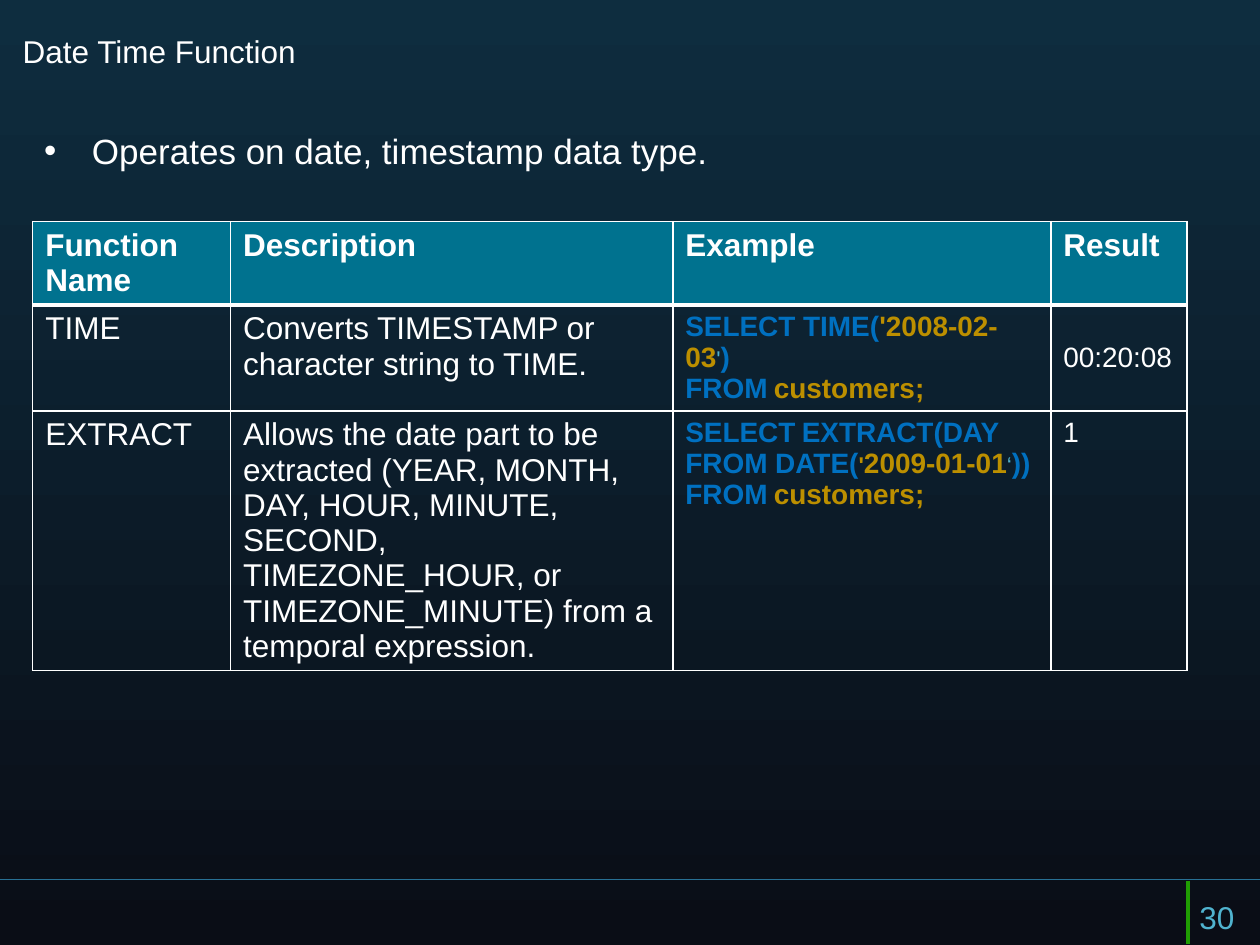
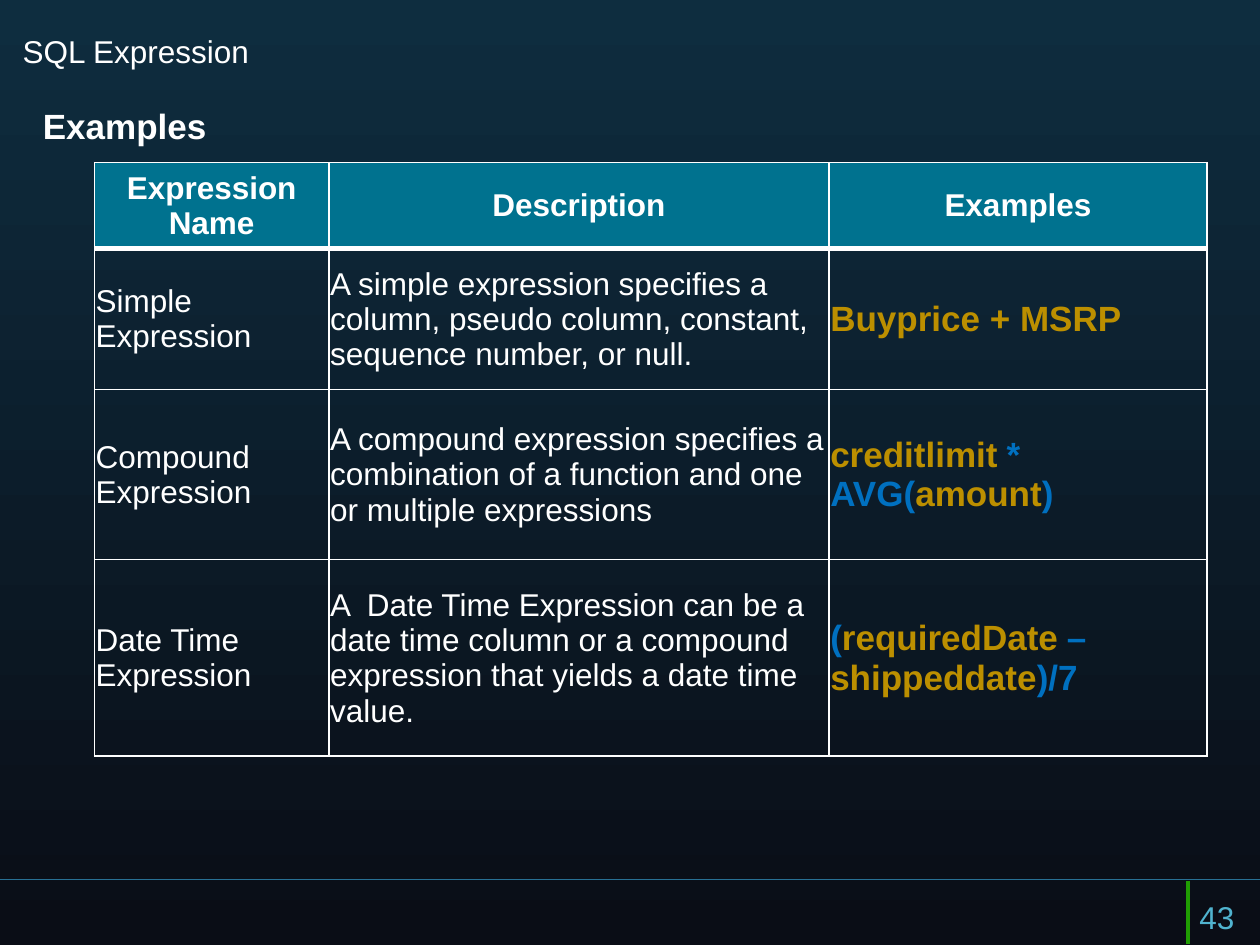
from dataclasses import dataclass

from lxml import etree
from pptx import Presentation
from pptx.dml.color import RGBColor
from pptx.enum.shapes import MSO_CONNECTOR
from pptx.enum.text import MSO_ANCHOR, MSO_AUTO_SIZE, PP_ALIGN
from pptx.oxml.ns import qn
from pptx.util import Inches, Pt

TOP, MIDDLE = MSO_ANCHOR.TOP, MSO_ANCHOR.MIDDLE
LEFT, CENTER = PP_ALIGN.LEFT, PP_ALIGN.CENTER
STRAIGHT = MSO_CONNECTOR.STRAIGHT
NO_AUTOFIT = MSO_AUTO_SIZE.NONE

# The slide is a grid of 100 columns by 75 rows
UNIT = Inches(0.1)
COLUMNS, ROWS = 100, 75
TITLE_AREA = (0.8, 2, 75, 5.8)
FOOTER_ROW, FOOTER_COLUMN = 69.8, 94.3
NUMBER_AREA = (94.2, 70.8, 5.8, 4.2)


@dataclass(frozen=True)
class Theme:
    font: str = "Arial"
    sky: str = "0E2D3F"
    night: str = "0A0D16"
    white: str = "FFFFFF"
    header: str = "00728F"
    accent: str = "50B3CF"
    keyword: str = "0070C0"
    value: str = "BC8F00"
    rule: str = "287094"
    tick: str = "209D03"
    lead: int = 20
    text: int = 18
    code: int = 16
    small: int = 13
    border: int = 1
    heavy_border: int = 3


THEME = Theme()

# Text styles: size, colour, bold
STYLES = {
    "text": (THEME.text, THEME.white, False),
    "head": (THEME.text, THEME.white, True),
    "lead": (THEME.lead, THEME.white, False),
    "lead_bold": (THEME.lead, THEME.white, True),
    "number": (THEME.text, THEME.accent, False),
    "result": (THEME.code, THEME.white, False),
    "key": (THEME.code, THEME.keyword, True),
    "val": (THEME.code, THEME.value, True),
    "quote": (THEME.small, THEME.value, True),
    "gap": (THEME.small, THEME.accent, False),
    "big_key": (THEME.lead, THEME.keyword, True),
    "big_val": (THEME.lead, THEME.value, True),
}

# Cells are (style, text), or a list of paragraphs made of such spans
DATE_ROWS = [
    [("head", name) for name in ("Function Name", "Description", "Example", "Result")],
    [
        ("text", "TIME"),
        ("text", "Converts TIMESTAMP or character string to TIME."),
        [
            [("key", "SELECT TIME("), ("val", "'2008-02-03"), ("gap", "'"),
             ("key", ")"), ("gap", " ")],
            [("key", "FROM"), ("gap", " "), ("val", "customers;")],
        ],
        ("result", "00:20:08"),
    ],
    [
        ("text", "EXTRACT"),
        ("text", "Allows the date part to be extracted (YEAR, MONTH, DAY, HOUR, MINUTE, "
                 "SECOND, TIMEZONE_HOUR, or TIMEZONE_MINUTE) from a temporal expression."),
        [[("key", "SELECT"), ("gap", " "), ("key", "EXTRACT(DAY FROM DATE("),
          ("quote", "'"), ("val", "2009-01-01"), ("gap", "‘"),
          ("key", ")) FROM"), ("gap", " "), ("val", "customers;")]],
        ("result", "1"),
    ],
]
EXPRESSION_ROWS = [
    [("head", name) for name in ("Expression Name", "Description", "Examples")],
    [
        ("text", "Simple Expression"),
        ("text", "A simple expression specifies a column, pseudo column, constant, "
                 "sequence number, or null."),
        ("big_val", "Buyprice + MSRP"),
    ],
    [
        ("text", "Compound Expression"),
        ("text", "A compound expression specifies a combination of a function and one "
                 "or multiple expressions"),
        [[("big_val", "creditlimit"), ("text", " "), ("big_key", "*"), ("text", " "),
          ("big_key", "AVG("), ("big_val", "amount"), ("big_key", ")")]],
    ],
    [
        ("text", "Date Time Expression"),
        ("text", "A  Date Time Expression can be a date time column or a compound "
                 "expression that yields a date time value."),
        [[("big_key", "("), ("big_val", "requiredDate"), ("text", " "), ("big_key", "–"),
          ("big_val", "shippeddate"), ("big_key", ")/7")]],
    ],
]


def grid(*steps):
    return [round(step * UNIT) for step in steps]


def colour(code):
    return RGBColor.from_string(code)


def set_values(target, values):
    for name, value in values.items():
        setattr(target, name, value)


def write(frame, content, align=LEFT):
    """Fill a text frame with one styled text or with paragraphs of spans."""
    paragraphs = [[content]] if isinstance(content, tuple) else content
    for index, spans in enumerate(paragraphs):
        para = frame.add_paragraph() if index else frame.paragraphs[0]
        para.alignment = align
        for style, text in spans:
            size, shade, bold = STYLES[style]
            span = para.add_run()
            span.text = text
            set_values(span.font, {"name": THEME.font, "size": Pt(size), "bold": bold})
            span.font.color.rgb = colour(shade)


def fill_box(box, area, content):
    """Place a placeholder or text box and write its text."""
    set_values(box, dict(zip(("left", "top", "width", "height"), grid(*area))))
    set_values(box.text_frame, {"word_wrap": True, "auto_size": NO_AUTOFIT,
                                "vertical_anchor": TOP})
    write(box.text_frame, content)


def set_bullet(para, indent, mark=None):
    """Give a paragraph a hanging bullet, or take its bullet away."""
    properties = para._p.get_or_add_pPr()
    properties.set("marL", str(Inches(indent)))
    properties.set("indent", str(-Inches(indent)))
    if mark:
        etree.SubElement(properties, qn("a:buChar"), char=mark)
    else:
        etree.SubElement(properties, qn("a:buNone"))


def add_line(page, ends, shade, width):
    line = page.shapes.add_connector(STRAIGHT, *grid(*ends))
    line.line.color.rgb = colour(shade)
    line.line.width = Pt(width)
    etree.SubElement(line._element.spPr, qn("a:effectLst"))


def set_borders(cell, widths):
    """Draw the four sides; the lines come before the fill in the cell."""
    properties = cell._tc.get_or_add_tcPr()
    for index, (side, width) in enumerate(widths.items()):
        line = etree.Element(qn(f"a:ln{side}"), w=str(Pt(width)))
        fill = etree.SubElement(line, qn("a:solidFill"))
        etree.SubElement(fill, qn("a:srgbClr"), val=THEME.white)
        properties.insert(index, line)


def add_table(page, corner, widths, heights, rows, format_cell):
    area = grid(*corner, sum(widths), sum(heights))
    table = page.shapes.add_table(len(rows), len(widths), *area).table
    table.horz_banding = False
    for column, width in zip(table.columns, grid(*widths)):
        column.width = width
    for row, height in zip(table.rows, grid(*heights)):
        row.height = height
    for y, contents in enumerate(rows):
        for x, content in enumerate(contents):
            cell = table.cell(y, x)
            values, align = format_cell(y, x)
            set_values(cell, values)
            write(cell.text_frame, content, align)
            if y == 0:
                cell.fill.solid()
                cell.fill.fore_color.rgb = colour(THEME.header)
            else:
                cell.fill.background()
            set_borders(cell, {
                "L": THEME.border,
                "R": THEME.border,
                "T": THEME.heavy_border if y == 1 else THEME.border,
                "B": THEME.heavy_border if y == 0 else THEME.border,
            })


def date_cell(y, x):
    return {"vertical_anchor": MIDDLE if (y, x) == (1, 3) else TOP}, LEFT


def expression_cell(y, x):
    inset = Inches(0.01)
    values = {"vertical_anchor": MIDDLE, "margin_left": inset, "margin_right": inset,
              "margin_top": inset, "margin_bottom": 0}
    return values, LEFT if y else CENTER


def paint_background(deck):
    fill = deck.slide_master.background.fill
    fill.gradient()
    fill.gradient_angle = 270
    for stop, shade in zip(fill.gradient_stops, (THEME.sky, THEME.night)):
        stop.color.rgb = colour(shade)


def add_page(deck, title, number, body_area, body):
    """Add a slide with title, body line, footer rules and slide number."""
    page = deck.slides.add_slide(deck.slide_layouts[1])
    add_line(page, (COLUMNS, FOOTER_ROW, 0, FOOTER_ROW), THEME.rule, 0.75)
    add_line(page, (FOOTER_COLUMN, FOOTER_ROW + 0.1, FOOTER_COLUMN, ROWS - 0.1),
             THEME.tick, 2)
    fill_box(page.shapes.title, TITLE_AREA, ("text", title))
    fill_box(page.placeholders[1], body_area, body)
    number_box = page.shapes.add_textbox(*grid(*NUMBER_AREA))
    fill_box(number_box, NUMBER_AREA, ("number", number))
    return page, page.placeholders[1].text_frame.paragraphs[0]


def main():
    deck = Presentation()
    deck.slide_width, deck.slide_height = grid(COLUMNS, ROWS)
    paint_background(deck)

    # Date and time functions
    page, para = add_page(deck, "Date Time Function", "30", (2.5, 9.8, 90, 5.8),
                          ("lead", "Operates on date, timestamp data type."))
    set_bullet(para, 0.38, "•")
    add_table(page, (2.6, 17.6), (15.7, 35.1, 30, 10.8), (6.6, 8.4, 20.6),
              DATE_ROWS, date_cell)

    # Kinds of SQL expression
    page, para = add_page(deck, "SQL Expression", "43", (2.4, 7.8, 95, 5.5),
                          ("lead_bold", "Examples"))
    set_bullet(para, 0)
    add_table(page, (7.5, 12.9), (18.6, 39.7, 30), (6.8, 11.2, 13.5, 15.6),
              EXPRESSION_ROWS, expression_cell)

    deck.save("out.pptx")


if __name__ == "__main__":
    main()
